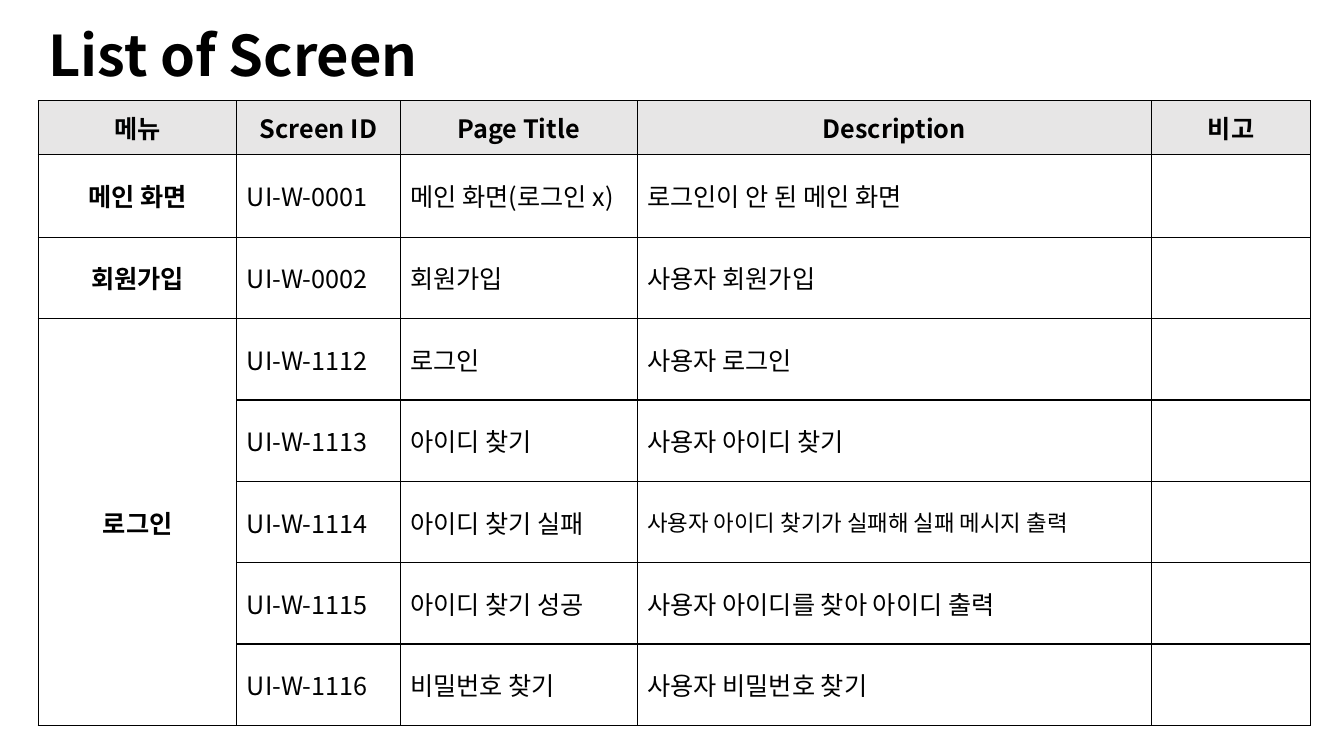
from pptx import Presentation
from pptx.dml.color import RGBColor
from pptx.enum.text import MSO_ANCHOR, MSO_AUTO_SIZE, PP_ALIGN
from pptx.oxml import parse_xml
from pptx.oxml.ns import nsdecls
from pptx.util import Inches, Pt

TITLE = "List of Screen"
HEADS = ["메뉴", "Screen ID", "Page Title", "Description", "비고"]
MENUS = [
    ("메인 화면", [("UI-W-0001", "메인 화면(로그인 x)", "로그인이 안 된 메인 화면")]),
    ("회원가입", [("UI-W-0002", "회원가입", "사용자 회원가입")]),
    ("로그인", [
        ("UI-W-1112", "로그인", "사용자 로그인"),
        ("UI-W-1113", "아이디 찾기", "사용자 아이디 찾기"),
        ("UI-W-1114", "아이디 찾기 실패", "사용자 아이디 찾기가 실패해 실패 메시지 출력"),
        ("UI-W-1115", "아이디 찾기 성공", "사용자 아이디를 찾아 아이디 출력"),
        ("UI-W-1116", "비밀번호 찾기", "사용자 비밀번호 찾기"),
    ]),
]
SMALL = "UI-W-1114"  # its long description is set smaller

FONT = "Noto Sans CJK KR"
BLACK = RGBColor(0x00, 0x00, 0x00)
WHITE = RGBColor(0xFF, 0xFF, 0xFF)
GRAY = RGBColor(0xE7, 0xE6, 0xE6)
LEFT, CENTER = PP_ALIGN.LEFT, PP_ALIGN.CENTER
MIDDLE = MSO_ANCHOR.MIDDLE

WIDTHS = [1.97, 1.62, 2.35, 5.1, 1.58]
HEAD_H, TABLE_H = 0.53, 6.18


def style(para, size, bold, align):
    para.alignment = align
    font = para.font
    font.name, font.size, font.bold = FONT, Pt(size), bold
    font.color.rgb = BLACK
    # Hangul takes its typeface from a:ea
    east = parse_xml(f'<a:ea {nsdecls("a")} typeface="{FONT}"/>')
    font._element.find("{*}latin").addnext(east)


def border(cell):
    props = cell._tc.get_or_add_tcPr()
    for i, side in enumerate("LRTB"):
        props.insert(i, parse_xml(
            f'<a:ln{side} {nsdecls("a")} w="{Pt(1)}"><a:solidFill>'
            f'<a:srgbClr val="{BLACK}"/></a:solidFill></a:ln{side}>'))


def put(cell, text, size=18, bold=False, align=LEFT):
    cell.text = text
    style(cell.text_frame.paragraphs[0], size, bold, align)


def add_title(slide):
    title = slide.shapes.title
    title.left, title.top = Inches(0.38), Inches(0.15)
    title.width, title.height = Inches(4.44), Inches(0.77)
    frame = title.text_frame
    frame.text = TITLE
    frame.word_wrap = False
    frame.auto_size = MSO_AUTO_SIZE.NONE
    frame.vertical_anchor = MIDDLE
    para = frame.paragraphs[0]
    para.line_spacing = 1.0
    style(para, 40, True, LEFT)


def add_list(slide):
    count = sum(len(pages) for _, pages in MENUS)
    table = slide.shapes.add_table(
        count + 1, len(HEADS), Inches(0.38), Inches(1),
        Inches(sum(WIDTHS)), Inches(TABLE_H)).table
    for col, width in zip(table.columns, WIDTHS):
        col.width = Inches(width)
    for r, row in enumerate(table.rows):
        row.height = Inches((TABLE_H - HEAD_H) / count if r else HEAD_H)
        for cell in row.cells:
            cell.fill.solid()
            cell.fill.fore_color.rgb = WHITE if r else GRAY
            cell.vertical_anchor = MIDDLE
            border(cell)

    for c, head in enumerate(HEADS):
        put(table.cell(0, c), head, bold=True, align=CENTER)
    r = 1
    for menu, pages in MENUS:
        first = table.cell(r, 0)
        put(first, menu, bold=True, align=CENTER)
        if len(pages) > 1:
            first.merge(table.cell(r + len(pages) - 1, 0))
        for code, name, about in pages:
            put(table.cell(r, 1), code)
            put(table.cell(r, 2), name)
            put(table.cell(r, 3), about, 16 if code == SMALL else 18)
            r += 1


def main():
    deck = Presentation()
    deck.slide_width, deck.slide_height = Inches(13.33), Inches(7.5)
    slide = deck.slides.add_slide(deck.slide_layouts[5])
    add_title(slide)
    add_list(slide)
    deck.save("out.pptx")


if __name__ == "__main__":
    main()
